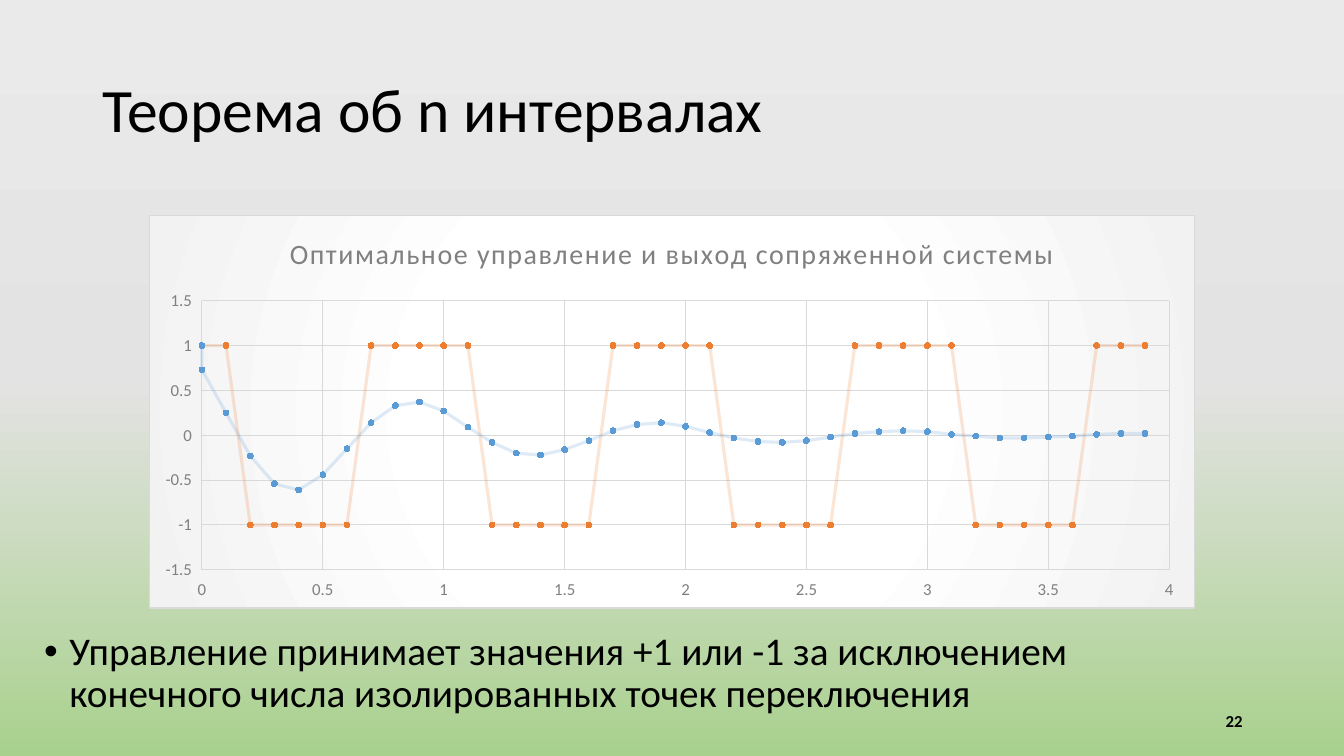
from dataclasses import dataclass
from itertools import chain
from pptx import Presentation, util as u
from pptx.chart.data import XyChartData
from pptx.dml.color import RGBColor
from pptx.enum import chart as ch, text as tx
from pptx.oxml import parse_xml
from pptx.oxml.ns import nsdecls, qn


@dataclass
class Theme:
    face: str = "Calibri"
    ink: str = "000000"
    gray: str = "808080"
    grid: str = "D9D9D9"
    blue: str = "5B9BD5"
    red: str = "ED7D31"
    sky: tuple = ((0, "EBEAEA"), (50, "E4E3E3"), (100, "A9D18E"))
    glow: tuple = ((43, "FFFFFF"), (100, "F2F2F2"))
    head: int = 44
    body: int = 28
    label: int = 20
    small: int = 12


T = Theme()
WIDE, HIGH = 13.33, 7.5

# Adjoint output by time step, with the control switching every five steps
OUTPUT = [1, 0.73, 0.25, -0.23, -0.54, -0.61, -0.44, -0.15, 0.14, 0.33, 0.37,
          0.27, 0.09, -0.08, -0.2, -0.22, -0.16, -0.06, 0.05, 0.12, 0.14, 0.1,
          0.03, -0.03, -0.07, -0.08, -0.06, -0.02, 0.02, 0.04, 0.05, 0.04,
          0.01, -0.01, -0.03, -0.03, -0.02, -0.01, 0.01, 0.02, 0.02]
RUNS = [3] + [5] * 7 + [3]
CONTROL = list(chain.from_iterable([(-1) ** k] * n for k, n in enumerate(RUNS)))
TIMES = [0] + [k / 10 for k in range(len(OUTPUT) - 1)]


def share(x, y, w, h):
    """Turn shares of the slide into lengths."""
    return [u.Inches(v * full) for v, full in zip((x, y, w, h), (WIDE, HIGH) * 2)]


def style(font, size, color, bold=False):
    font.name, font.size, font.bold = T.face, u.Pt(size), bold
    font.color.rgb = RGBColor.from_string(color)


def stroke(line, color, width):
    line.color.rgb = RGBColor.from_string(color)
    line.width = u.Pt(width)


def stops(pairs):
    marks = "".join(f'<a:gs pos="{at * 1000}"><a:srgbClr val="{c}"/></a:gs>'
                    for at, c in pairs)
    return f'<a:gsLst {nsdecls("a")}>{marks}</a:gsLst>'


def backdrop(slide):
    fill = slide.background.fill
    fill.gradient()
    fill.gradient_angle = 270
    old = next(slide.element.iter(qn("a:gsLst")))
    old.getparent().replace(old, parse_xml(stops(T.sky)))


def write(shape, words, size, anchor, bold=False):
    frame = shape.text_frame
    frame.word_wrap = True
    frame.auto_size = tx.MSO_AUTO_SIZE.NONE
    frame.vertical_anchor = anchor
    frame.text = words
    para = frame.paragraphs[0]
    style(para.font, size, T.ink, bold)
    return para


def heading(slide, box, words):
    shape = slide.shapes.title
    shape.left, shape.top, shape.width, shape.height = box
    para = write(shape, words, T.head, tx.MSO_ANCHOR.MIDDLE)
    para.alignment = tx.PP_ALIGN.LEFT
    para.line_spacing = 0.9


def bullet(slide, box, words):
    para = write(slide.shapes.add_textbox(*box), words, T.body, tx.MSO_ANCHOR.TOP)
    para.line_spacing, para.space_before = 0.9, u.Pt(10)
    props = para._p.get_or_add_pPr()
    props.set("marL", str(u.Inches(0.25)))
    props.set("indent", str(-u.Inches(0.25)))
    for mark in ('buFont %s typeface="Arial"', 'buChar %s char="•"'):
        props.insert_element_before(
            parse_xml(f"<a:{mark % nsdecls('a')}/>"), "a:tabLst", "a:defRPr")


def number(slide, box, words):
    para = write(slide.shapes.add_textbox(*box), words, T.small,
                 tx.MSO_ANCHOR.MIDDLE, True)
    para.alignment = tx.PP_ALIGN.RIGHT


def scale(axis, low, high):
    axis.minimum_scale, axis.maximum_scale, axis.major_unit = low, high, 0.5
    axis.has_major_gridlines = True
    stroke(axis.major_gridlines.format.line, T.grid, 0.75)
    axis.format.line.fill.background()
    axis.major_tick_mark = axis.minor_tick_mark = ch.XL_TICK_MARK.NONE
    axis.tick_label_position = ch.XL_TICK_LABEL_POSITION.LOW
    axis.tick_labels.number_format = "General"
    axis.tick_labels.number_format_is_linked = False
    style(axis.tick_labels.font, T.small, T.gray)


def curve(series, color):
    series.smooth = False
    stroke(series.format.line, color, 2.25)
    tint = next(series._element.find(qn("c:spPr")).iter(qn("a:srgbClr")))
    tint.append(parse_xml(f'<a:alpha {nsdecls("a")} val="20000"/>'))
    dot = series.marker
    dot.style, dot.size = ch.XL_MARKER_STYLE.CIRCLE, 4
    dot.format.fill.solid()
    dot.format.fill.fore_color.rgb = RGBColor.from_string(color)
    stroke(dot.format.line, color, 0.75)


def panel(chart):
    """Give the chart its round gradient, border and plot position."""
    root = chart.element
    root.find(qn("c:txPr")).addprevious(parse_xml(
        f'<c:spPr {nsdecls("c", "a")}><a:gradFill>{stops(T.glow)}'
        '<a:path path="circle"><a:fillToRect l="50000" t="50000" r="50000" '
        'b="50000"/></a:path></a:gradFill><a:ln w="9525"><a:solidFill>'
        f'<a:srgbClr val="{T.grid}"/></a:solidFill></a:ln></c:spPr>'))
    plot = next(root.iter(qn("c:plotArea")))
    for old in plot.findall(qn("c:layout")):
        plot.remove(old)
    sides = "".join(f'<c:{k} val="{v}"/>' for k, v in (
        ("layoutTarget", "inner"), ("xMode", "edge"), ("yMode", "edge"),
        ("x", 0.05), ("y", 0.218), ("w", 0.926), ("h", 0.685)))
    plot.insert(0, parse_xml(f'<c:layout {nsdecls("c")}><c:manualLayout>{sides}'
                             '</c:manualLayout></c:layout>'))


def graph(slide, box, words):
    data = XyChartData()
    for name, vals in (("Series 1", OUTPUT), ("Series 2", CONTROL)):
        series = data.add_series(name)
        for x, y in zip(TIMES, vals):
            series.add_data_point(x, y)
    chart = slide.shapes.add_chart(ch.XL_CHART_TYPE.XY_SCATTER_LINES, *box, data).chart
    style(chart.font, 10, T.ink)
    chart.has_legend = False
    # Title
    chart.has_title = True
    chart.chart_title.include_in_layout = False
    frame = chart.chart_title.text_frame
    frame.text = words
    run = frame.paragraphs[0].runs[0]
    style(run.font, T.label, T.gray)
    run._r.get_or_add_rPr().set("spc", "100")
    # Axes and curves
    scale(chart.category_axis, 0, 4)
    scale(chart.value_axis, -1.5, 1.5)
    plot = chart.plots[0]
    plot.vary_by_categories = False
    for series, color in zip(plot.series, (T.blue, T.red)):
        curve(series, color)
    panel(chart)


def main():
    deck = Presentation()
    deck.slide_width, deck.slide_height = u.Inches(WIDE), u.Inches(HIGH)
    slide = deck.slides.add_slide(deck.slide_layouts[5])
    backdrop(slide)
    heading(slide, share(0.069, 0.053, 0.863, 0.193), "Теорема об n интервалах")
    graph(slide, share(0.111, 0.284, 0.778, 0.521),
          "Оптимальное управление и выход сопряженной системы")
    number(slide, share(0.707, 0.927, 0.225, 0.053), "22")
    bullet(slide, share(0.0255, 0.829, 0.9055, 0.153),
           "Управление принимает значения +1 или -1 за исключением "
           "конечного числа изолированных точек переключения")
    deck.save("out.pptx")


if __name__ == "__main__":
    main()
